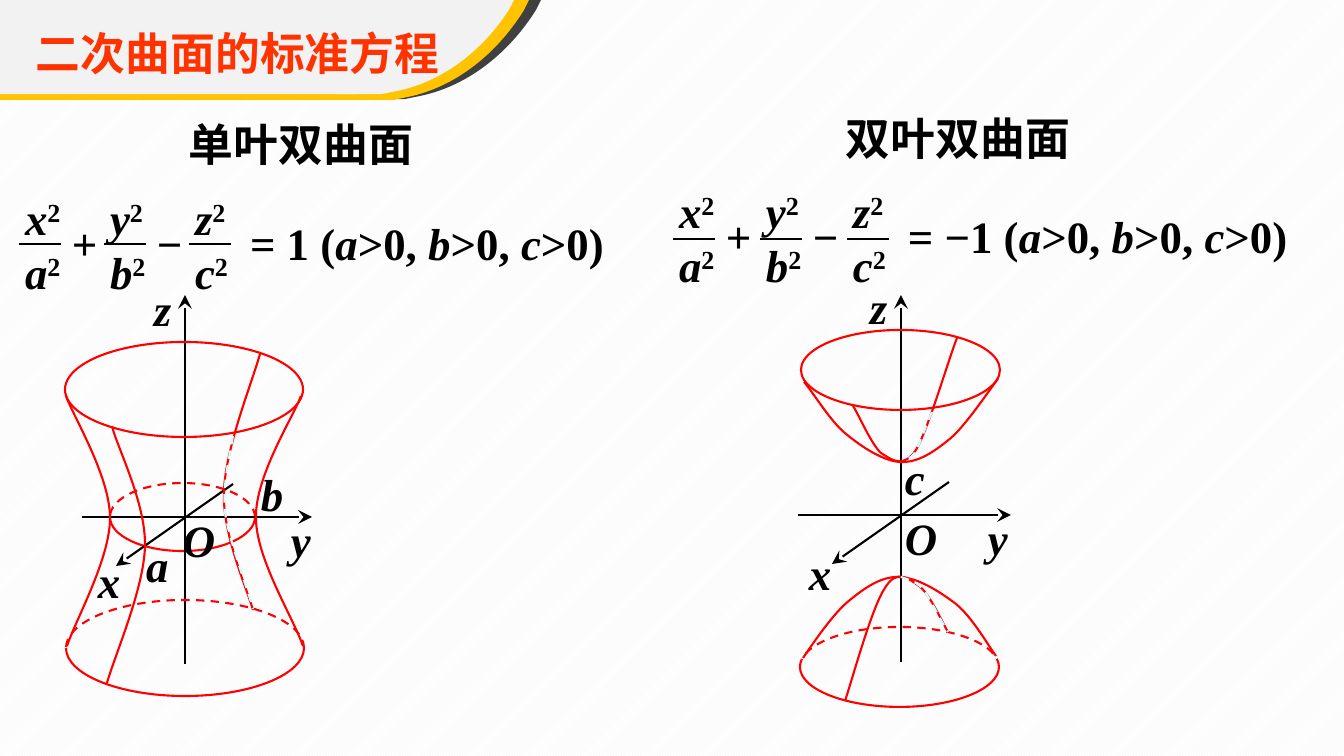
from itertools import groupby

from lxml.etree import SubElement
from pptx import Presentation
from pptx.dml.color import RGBColor
from pptx.enum.dml import MSO_LINE, MSO_PATTERN
from pptx.enum.shapes import MSO_CONNECTOR, MSO_SHAPE
from pptx.enum.text import MSO_ANCHOR
from pptx.oxml.ns import qn
from pptx.util import Pt

SCALE = 914400 / 100.8
RED, BLACK, PALE, GOLD, DARK, GREY = "FF0000", "000000", "CCFFFF", "FFC300", "404040", "F2F2F2"


def px(value):
    return round(value * SCALE)


def color(value):
    return RGBColor.from_string(value)


class SlideDrawer:
    def __init__(self, slide):
        self.slide = slide
        self.font = "Times New Roman"
        self.size = Pt(32)
        self.line_width = Pt(1.5)

    def style_line(self, shape, line_color, dashed=False):
        shape.line.color.rgb = color(line_color)
        shape.line.width = self.line_width
        if dashed:
            shape.line.dash_style = MSO_LINE.DASH

    def background(self):
        shape = self.slide.shapes.add_shape(MSO_SHAPE.RECTANGLE, 0, 0, px(1344), px(756))
        shape.shadow.inherit = False
        shape.line.fill.background()
        shape.fill.patterned()
        shape.fill.pattern = MSO_PATTERN.LIGHT_UPWARD_DIAGONAL
        shape.fill.fore_color.rgb = color(GREY)
        shape.fill.back_color.rgb = color("FFFFFF")

    def freeform(self, start, segments, close):
        builder = self.slide.shapes.build_freeform(px(start[0]), px(start[1]), scale=1.0)
        builder.add_line_segments([(px(s[-2]), px(s[-1])) for s in segments], close=close)
        shape = builder.convert_to_shape()
        shape.shadow.inherit = False
        steps = list(shape._element.iter(qn("a:lnTo")))
        for step, segment in zip(steps, segments):
            if len(segment) == 6:
                bend = SubElement(step.getparent(), qn("a:cubicBezTo"))
                for x, y in zip(segment[::2], segment[1::2]):
                    SubElement(bend, qn("a:pt"), x=str(px(x) - shape.left), y=str(px(y) - shape.top))
                step.getparent().replace(step, bend)
        return shape

    def panel(self, outline, left, top, width, height, fill):
        full_width = max(segment[-2] for segment in outline)
        full_height = max(segment[-1] for segment in outline)
        origin, ratio = (left, top), (width / full_width, height / full_height)
        start, *segments = [
            tuple(origin[i % 2] + value * ratio[i % 2] for i, value in enumerate(segment))
            for segment in outline
        ]
        shape = self.freeform(start, segments, close=True)
        shape.fill.solid()
        shape.fill.fore_color.rgb = color(fill)
        shape.line.fill.background()

    def curve(self, start, *segments, line_color=RED, dashed=False):
        shape = self.freeform(start, segments, close=False)
        shape.fill.background()
        self.style_line(shape, line_color, dashed)

    def ring(self, left, middle, width, depth):
        center, right = left + width / 2, left + width
        bend = 0.448 * width / 2
        for reach, dashed in ((depth, False), (-depth, True)):
            edge, pull = middle + reach, middle + 0.552 * reach
            self.curve(
                (right, middle),
                (right, pull, right - bend, edge, center, edge),
                (left + bend, edge, left, pull, left, middle),
                dashed=dashed,
            )

    def ellipse(self, left, top, width, height):
        shape = self.slide.shapes.add_shape(MSO_SHAPE.OVAL, px(left), px(top), px(width), px(height))
        shape.shadow.inherit = False
        shape.fill.background()
        self.style_line(shape, RED)

    def line(self, x1, y1, x2, y2, arrow=False):
        connector = self.slide.shapes.add_connector(MSO_CONNECTOR.STRAIGHT, px(x1), px(y1), px(x2), px(y2))
        self.style_line(connector, BLACK)
        if arrow:
            SubElement(connector.line._get_or_add_ln(), qn("a:tailEnd"), type="stealth", w="lg", len="lg")
        SubElement(connector._element.spPr, qn("a:effectLst"))

    def text(self, content, left, top, width, height, text_color=BLACK, powers=False,
             wrap=False, inset=(10, 5), anchor=MSO_ANCHOR.TOP):
        def role(character):
            if character.isascii() and character.isalpha():
                return "variable"
            return "power" if powers and character.isdigit() else "plain"

        box = self.slide.shapes.add_textbox(px(left), px(top), px(width), px(height))
        frame = box.text_frame
        frame.word_wrap = wrap
        frame.vertical_anchor = anchor
        frame.margin_left = frame.margin_right = px(inset[0])
        frame.margin_top = frame.margin_bottom = px(inset[1])
        for index, row in enumerate(content.split("\n")):
            paragraph = frame.add_paragraph() if index else frame.paragraphs[0]
            for kind, characters in groupby(row, role):
                run = paragraph.add_run()
                run.text = "".join(characters)
                run.font.name = self.font
                run.font.size = self.size
                run.font.bold = True
                run.font.italic = kind == "variable"
                run.font.color.rgb = color(text_color)
                if kind == "power":
                    run._r.get_or_add_rPr().set("baseline", "30000")

    def label(self, name, left, top):
        self.text(name, left, top, 47 if name == "O" else 36, 56, wrap=True, inset=(2, 1))

    def equation(self, left, top, step, bar, ending, ending_width):
        for index, fraction in enumerate(("x2\na2", "y2\nb2", "z2\nc2")):
            start = left + index * step
            self.text(fraction, start, top, 68, 118, powers=True)
            self.line(start + 4, bar, start + 46, bar)
        for index, sign in enumerate("+−"):
            self.text(sign, left + 47 + index * step, top + 25, 57, 64)
        self.text(ending, left + 2 * step + 55, top + 25, ending_width, 64)

    def axes(self, x, y, reach, labels):
        self.line(x + 48, y - 33, x - 69, y + 49, arrow=True)
        self.line(x - 103, y, x + reach, y, arrow=True)
        self.line(x, y + 147, x, 295, arrow=True)
        for name, place in labels.items():
            self.label(name, *place)


def draw_header(drawer):
    wing = ((0, 0), (324, 0), (319, 10), (292, 53, 251, 86, 203, 96), (188, 99), (143, 99),
            (128, 96), (80, 86, 34, 56, 8, 12))
    strip = ((0, 0), (209, 0), (215, 9), (245, 51, 293, 82, 350, 93), (367, 95), (0, 95))
    layers = (
        (DARK, (217, 0, 324, 99), (12, 4, 367, 95)),
        (GOLD, (205, 0, 324, 100), (0, 5, 367, 95)),
        (GREY, (199, 0, 315, 94), (0, 0, 357, 94)),
    )
    for fill, wing_place, strip_place in layers:
        drawer.panel(wing, *wing_place, fill)
        drawer.panel(strip, *strip_place, fill)
    drawer.text("二次曲面的标准方程", 26, 21, 434, 64, text_color="FF3300")


def draw_one_sheet(drawer):
    drawer.text("单叶双曲面", 179, 112, 259, 64, anchor=MSO_ANCHOR.MIDDLE)
    drawer.equation(15, 186, 85, 244, "= 1 (a>0, b>0, c>0)", 385)
    drawer.ring(110, 517, 145, 34)
    drawer.axes(185, 517, 127, {"O": (181, 512), "x": (96, 553), "y": (289, 512), "z": (152, 281),
                                "a": (144, 537), "b": (259, 466)})
    drawer.curve((112, 426), (117, 447, 146, 503, 145, 546), (144, 589, 115, 655, 107, 683))
    drawer.curve((253, 610), (248, 591, 222, 534, 224, 492), (225, 449, 252, 383, 260, 354))
    drawer.curve((66, 396), (73, 416, 110, 476, 110, 518), (110, 559, 76, 619, 67, 646))
    drawer.curve((301, 396), (294, 416, 255, 476, 256, 518), (256, 559, 294, 619, 303, 646))
    drawer.ellipse(65, 342, 238, 95)
    drawer.ring(66, 648, 238, 48)
    drawer.curve((233, 436), (231, 450, 222, 484, 225, 512), (229, 541, 248, 589, 253, 609),
                 line_color=PALE, dashed=True)


def draw_two_sheets(drawer):
    drawer.text("双叶双曲面", 836, 106, 259, 64, anchor=MSO_ANCHOR.MIDDLE)
    drawer.equation(669, 179, 87, 239, "= −1 (a>0, b>0, c>0)", 417)
    drawer.axes(901, 515, 110, {"O": (903, 510), "x": (807, 545), "y": (986, 510), "z": (868, 279),
                                "c": (903, 450)})
    drawer.ellipse(801, 330, 199, 80)
    drawer.curve((998, 379), (990, 389, 967, 424, 951, 438), (934, 452, 918, 463, 900, 462),
                 (883, 461, 862, 447, 846, 434), (830, 421, 813, 392, 804, 382))
    drawer.curve((803, 658), (810, 648, 833, 613, 850, 600), (867, 586, 883, 576, 900, 577),
                 (918, 578, 939, 591, 956, 604), (972, 617, 988, 645, 996, 656))
    drawer.curve((853, 406), (858, 413, 871, 444, 881, 453), (892, 460, 903, 469, 916, 450),
                 (928, 430, 948, 361, 957, 338))
    drawer.curve((948, 632), (943, 624, 930, 594, 919, 586), (909, 579, 897, 568, 885, 588),
                 (872, 607, 853, 677, 845, 701))
    drawer.ring(800, 667, 199, 40)
    drawer.curve((932, 412), (929, 418, 920, 443, 916, 451), (911, 459, 907, 459, 904, 461),
                 line_color=PALE, dashed=True)
    drawer.curve((901, 577), (905, 579, 915, 580, 923, 589), (930, 598, 942, 623, 948, 632),
                 line_color=PALE, dashed=True)


def main():
    presentation = Presentation()
    presentation.slide_width = px(1344)
    presentation.slide_height = px(756)
    drawer = SlideDrawer(presentation.slides.add_slide(presentation.slide_layouts[6]))
    drawer.background()
    draw_header(drawer)
    draw_one_sheet(drawer)
    draw_two_sheets(drawer)
    presentation.save("out.pptx")


if __name__ == "__main__":
    main()
